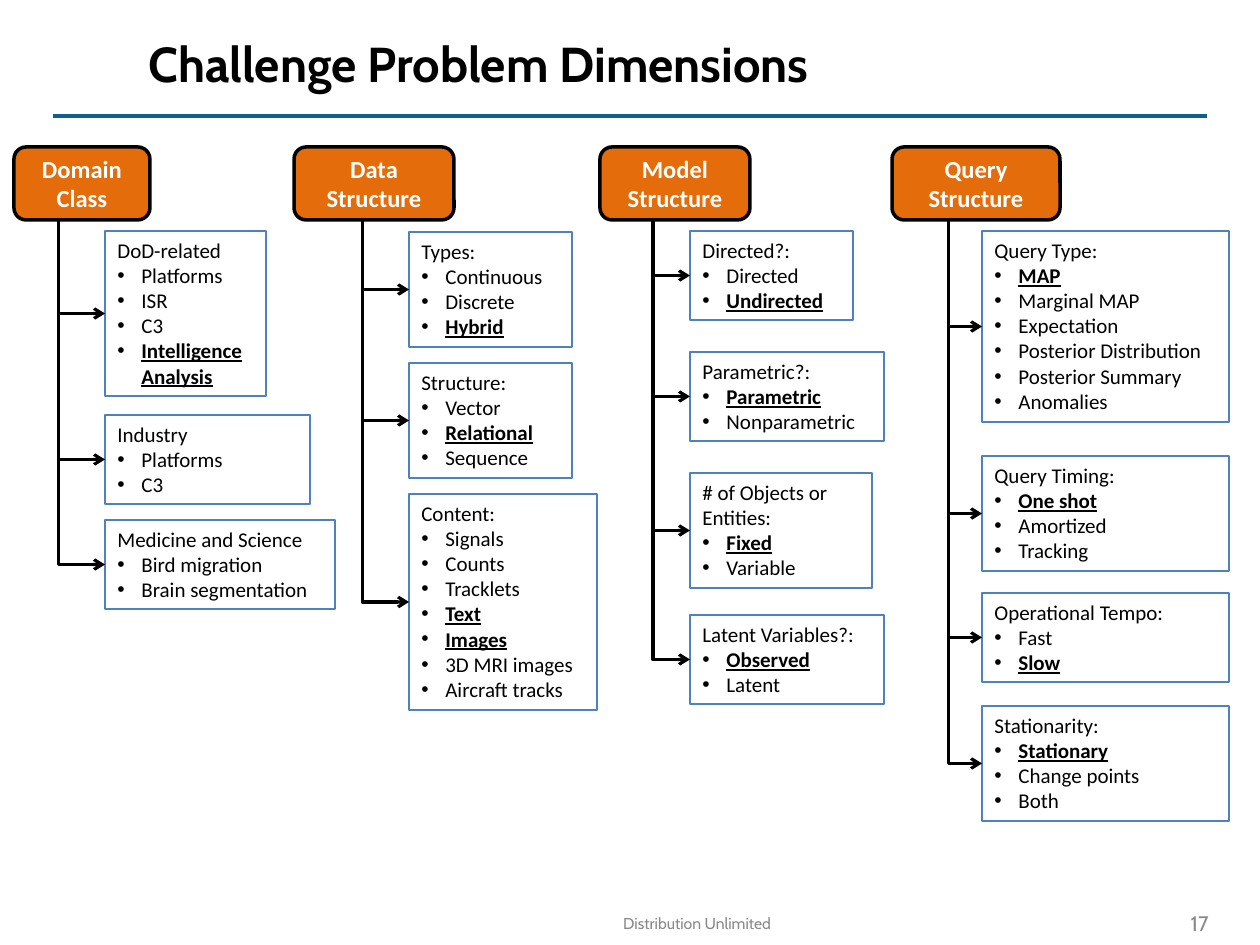
from lxml.etree import SubElement
from pptx import Presentation
from pptx.dml.color import RGBColor
from pptx.enum.shapes import MSO_CONNECTOR as CONNECTOR, MSO_SHAPE as SHAPE
from pptx.enum.text import MSO_ANCHOR as ANCHOR, MSO_AUTO_SIZE as FIT, PP_ALIGN as ALIGN
from pptx.oxml.ns import qn
from pptx.util import Pt

PX = 914400 / 126
COLORS = {
    "black": "000000",
    "white": "FFFFFF",
    "orange": "E46C0A",
    "card_edge": "4F81BD",
    "rule": "0F5E90",
    "gray": "898989",
}
COLUMNS = [
    ((14, 147, 136, 73), "Domain Class", 44, 91, [
        (84, 161, 6, ["DoD-related", "Platforms", "ISR", "C3", "*Intelligence Analysis"]),
        (268, 205, 3, ["Industry", "Platforms", "C3"]),
        (373, 230, 3, ["Medicine and Science", "Bird migration", "Brain segmentation"]),
    ]),
    ((294, 147, 160, 73), "Data Structure", 68, 115, [
        (85, 163, 4, ["Types:", "Continuous", "Discrete", "*Hybrid"]),
        (216, 163, 4, ["Structure:", "Vector", "*Relational", "Sequence"]),
        (347, 188, 8, ["Content:", "Signals", "Counts", "Tracklets", "*Text", "*Images",
                       "3D MRI images", "Aircraft tracks"]),
    ]),
    ((600, 147, 150, 73), "Model Structure", 53, 90, [
        (84, 163, 3, ["Directed?:", "Directed", "*Undirected"]),
        (205, 194, 3, ["Parametric?:", "*Parametric", "Nonparametric"]),
        (326, 182, 4, ["# of Objects or Entities:", "*Fixed", "Variable"]),
        (468, 194, 3, ["Latent Variables?:", "*Observed", "Latent"]),
    ]),
    ((892, 147, 168, 73), "Query Structure", 56, 90, [
        (84, 247, 7, ["Query Type:", "*MAP", "Marginal MAP", "Expectation",
                      "Posterior Distribution", "Posterior Summary", "Anomalies"]),
        (309, 247, 4, ["Query Timing:", "*One shot", "Amortized", "Tracking"]),
        (446, 247, 3, ["Operational Tempo:", "Fast", "*Slow"]),
        (559, 247, 4, ["Stationarity:", "*Stationary", "Change points", "Both"]),
    ]),
]


def emu(*lengths):
    return [round(length * PX) for length in lengths]


def color(name):
    return RGBColor.from_string(COLORS[name])


def style_line(line, name, width):
    line.color.rgb = color(name)
    line.width = Pt(width)


def style_font(font, face, size, name, bold=False):
    font.name = face
    font.size = Pt(size)
    font.bold = bold
    font.color.rgb = color(name)


def add_text(page, box, text, size, name, align, bold=False):
    frame = page.shapes.add_textbox(*emu(*box)).text_frame
    frame.word_wrap = True
    frame.vertical_anchor = ANCHOR.MIDDLE
    para = frame.paragraphs[0]
    para.text = text
    para.alignment = align
    style_font(para.font, "Cabin", size, name, bold)


def add_line(page, kind, ends, name):
    line = page.shapes.add_connector(kind, *emu(*ends))
    style_line(line.line, name, 1.75)
    SubElement(line._element.spPr, qn("a:effectLst"))
    return line


def add_header(page, box, text):
    header = page.shapes.add_shape(SHAPE.ROUNDED_RECTANGLE, *emu(*box))
    header.shadow.inherit = False
    header.fill.solid()
    header.fill.fore_color.rgb = color("orange")
    style_line(header.line, "black", 2)
    frame = header.text_frame
    frame.word_wrap = True
    frame.vertical_anchor = ANCHOR.MIDDLE
    para = frame.paragraphs[0]
    para.text = text
    para.alignment = ALIGN.CENTER
    style_font(para.font, "Calibri", 14, "white", True)


def add_bullet(para):
    props = para._p.get_or_add_pPr()
    indent = emu(24)[0]
    props.set("marL", str(indent))
    props.set("indent", str(-indent))
    SubElement(props, qn("a:buFont")).set("typeface", "Arial")
    SubElement(props, qn("a:buChar")).set("char", "•")


def add_card(page, box, entries):
    card = page.shapes.add_shape(SHAPE.RECTANGLE, *emu(*box))
    card.shadow.inherit = False
    card.fill.background()
    style_line(card.line, "card_edge", 0.75)
    frame = card.text_frame
    frame.word_wrap = True
    frame.auto_size = FIT.SHAPE_TO_FIT_TEXT
    frame.vertical_anchor = ANCHOR.TOP
    for index, entry in enumerate(entries):
        para = frame.add_paragraph() if index else frame.paragraphs[0]
        para.text = entry.lstrip("*")
        para.alignment = ALIGN.LEFT
        chosen = entry.startswith("*")
        style_font(para.font, "Calibri", 12, "black", chosen)
        para.font.underline = chosen
        if index:
            add_bullet(para)


def add_branch(page, x, y, end_x, end_y):
    across, down = end_x - x, end_y - y
    left = (x + end_x - down) / 2
    top = (y + end_y - across) / 2
    branch = add_line(page, CONNECTOR.ELBOW, (left + down, top, left, top + across), "black")
    props = branch._element.spPr
    props.find(qn("a:xfrm")).set("rot", str(270 * 60000))
    props.find(qn("a:prstGeom")).set("prst", "bentConnector2")
    SubElement(props.find(qn("a:ln")), qn("a:tailEnd")).set("type", "arrow")


def add_column(page, box, title, trunk, card_offset, cards):
    left, top, _, height = box
    add_header(page, box, title)
    card_left = left + card_offset
    for offset, width, lines, entries in cards:
        card_top = top + offset
        card_height = round(13.5 + 25.3 * lines)
        add_card(page, (card_left, card_top, width, card_height), entries)
        add_branch(page, left + trunk, top + height, card_left, card_top + card_height / 2)


def add_frame(page):
    add_line(page, CONNECTOR.STRAIGHT, (53, 116, 1207, 116), "rule")
    add_text(page, (136, 21, 955, 84), "Challenge Problem Dimensions", 28, "black",
             ALIGN.LEFT, True)
    add_text(page, (317, 902, 760, 42), "Distribution Unlimited", 9, "gray", ALIGN.CENTER)
    add_text(page, (1116, 903, 105, 40), "17", 12, "gray", ALIGN.RIGHT)


def main():
    deck = Presentation()
    deck.slide_width, deck.slide_height = emu(1260, 945)
    page = deck.slides.add_slide(deck.slide_layouts[6])
    add_frame(page)
    for column in COLUMNS:
        add_column(page, *column)
    deck.save("out.pptx")


if __name__ == "__main__":
    main()
